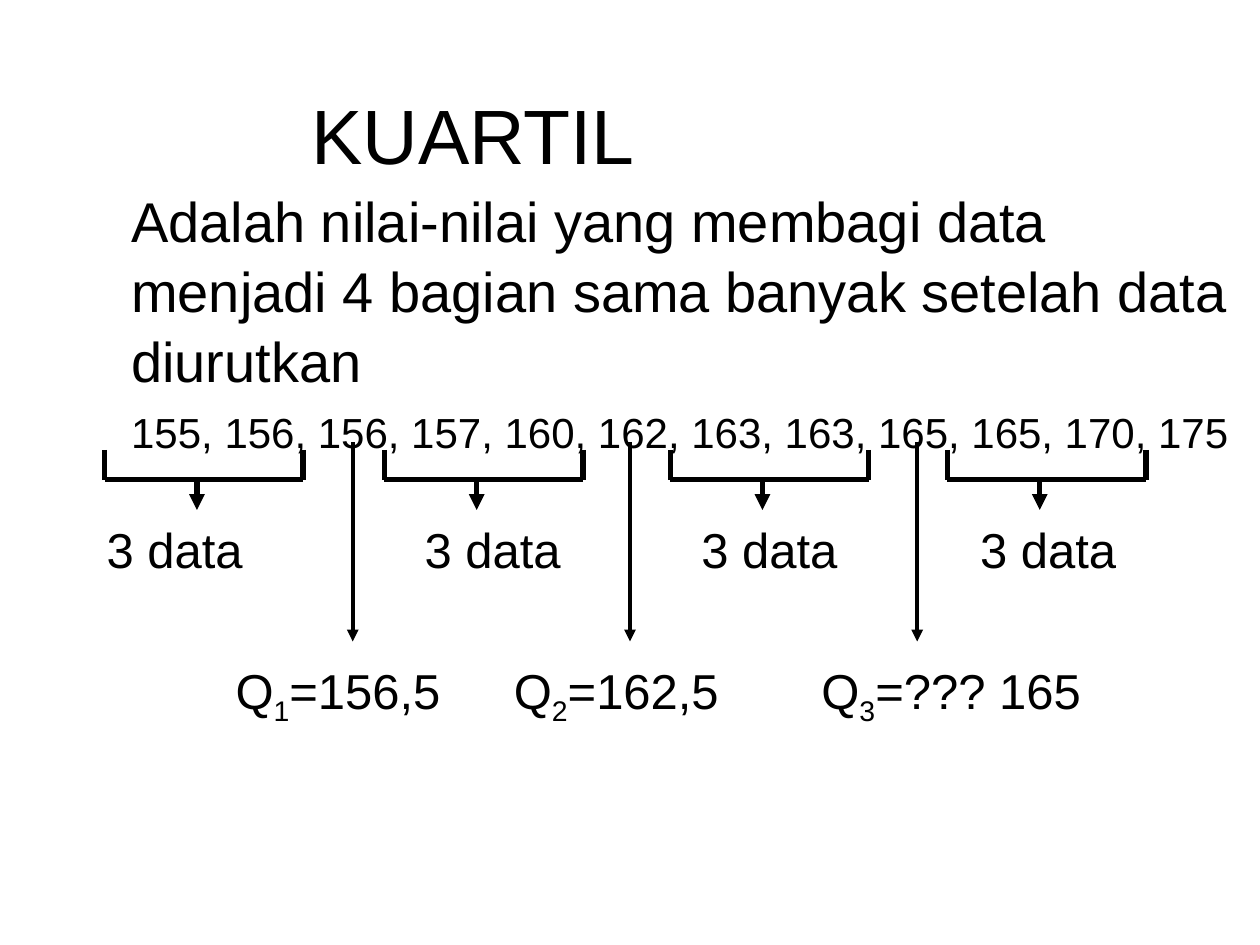
import pptx
import pptx.util
import pptx.dml.color
import pptx.enum.shapes
import pptx.enum.text
import pptx.oxml.ns
from lxml import etree

Cm, Pt = pptx.util.Cm, pptx.util.Pt
ALIGN = pptx.enum.text.PP_ALIGN
ANCHOR = pptx.enum.text.MSO_ANCHOR
qn = pptx.oxml.ns.qn

COLORS = {"ink": "000000", "paper": "FFFFFF"}
FONT = "Arial"

TITLE = "KUARTIL"
DEFINITION = ("Adalah nilai-nilai yang membagi data menjadi 4 bagian "
              "sama banyak setelah data diurutkan")
VALUES = [155, 156, 156, 157, 160, 162, 163, 163, 165, 165, 170, 175]
GROUPS = [(2.11, 1.9), (7.75, 8.31), (13.51, 13.89), (19.1, 19.51)]
GROUP_LABEL = "3 data"
QUARTILES = [
    ("1", "=156,5", 7.11, 4.5),
    ("2", "=162,5", 12.7, 10.11),
    ("3", "=??? 165", 18.49, 16.31),
]

BRACKET_TOP, BRACKET_BOTTOM, BRACKET_WIDTH = 9.07, 9.67, 4
STEM_OFFSET, STEM_END = 1.86, 10.28


def rgb(name):
    return pptx.dml.color.RGBColor.from_string(COLORS[name])


def write(p, text, size=28, sub=False, align=ALIGN.LEFT, before=0, spacing=1.04):
    p.alignment, p.space_before, p.line_spacing = align, Pt(before), spacing
    r = p.add_run()
    r.text = text
    r.font.size, r.font.name = Pt(size), FONT
    r.font.color.rgb = rgb("ink")
    if sub:
        r.font._element.set("baseline", "-25000")


def place(shape, left, top, width, height):
    shape.left, shape.top = Cm(left), Cm(top)
    shape.width, shape.height = Cm(width), Cm(height)
    tf = shape.text_frame
    tf.word_wrap = True
    tf.auto_size = pptx.enum.text.MSO_AUTO_SIZE.NONE
    return tf


def add_label(s, left, top, width, height):
    return place(s.shapes.add_textbox(0, 0, 0, 0), left, top, width, height).paragraphs[0]


def add_line(s, x1, y1, x2, y2, weight=3, arrow=False):
    c = s.shapes.add_connector(pptx.enum.shapes.MSO_CONNECTOR.STRAIGHT,
                               Cm(x1), Cm(y1), Cm(x2), Cm(y2))
    c.line.width = Pt(weight)
    c.line.color.rgb = rgb("ink")
    if arrow:
        etree.SubElement(c.line._get_or_add_ln(), qn("a:tailEnd"), type="triangle")
    etree.SubElement(c._element.spPr, qn("a:effectLst"))


def add_bracket(s, left):
    right, stem = left + BRACKET_WIDTH, left + STEM_OFFSET
    for x in (left, right):
        add_line(s, x, BRACKET_TOP, x, BRACKET_BOTTOM)
    add_line(s, left, BRACKET_BOTTOM, right, BRACKET_BOTTOM)
    add_line(s, stem, BRACKET_BOTTOM, stem, STEM_END, arrow=True)


def main():
    prs = pptx.Presentation()
    prs.slide_width, prs.slide_height = Cm(25.4), Cm(19.05)
    s = prs.slides.add_slide(prs.slide_layouts[1])
    s.background.fill.solid()
    s.background.fill.fore_color.rgb = rgb("paper")

    tf = place(s.shapes.title, 0, 0.43, 19.08, 4.45)
    tf.vertical_anchor = ANCHOR.MIDDLE
    write(tf.paragraphs[0], TITLE, size=44, align=ALIGN.CENTER)

    tf = place(s.placeholders[1], 2.39, 3.58, 23.01, 12.27)
    tf.vertical_anchor = ANCHOR.TOP
    data = ", ".join(str(v) for v in VALUES)
    for i, (text, size, before) in enumerate([(DEFINITION, 32, 0), (data, 24, 6)]):
        p = tf.add_paragraph() if i else tf.paragraphs[0]
        pPr = p._p.get_or_add_pPr()
        pPr.set("marL", "0")
        pPr.set("indent", "0")
        etree.SubElement(pPr, qn("a:buNone"))
        write(p, text, size=size, before=before)

    for bracket_left, label_left in GROUPS:
        add_bracket(s, bracket_left)
        write(add_label(s, label_left, 10.31, 5.41, 1.45), GROUP_LABEL)

    for index, value, x, label_left in QUARTILES:
        add_line(s, x, 8.92, x, 12.93, weight=2.25, arrow=True)
        p = add_label(s, label_left, 13.13, 6.81, 1.6)
        write(p, "Q")
        write(p, index, sub=True)
        write(p, value)

    prs.save("out.pptx")


if __name__ == "__main__":
    main()
